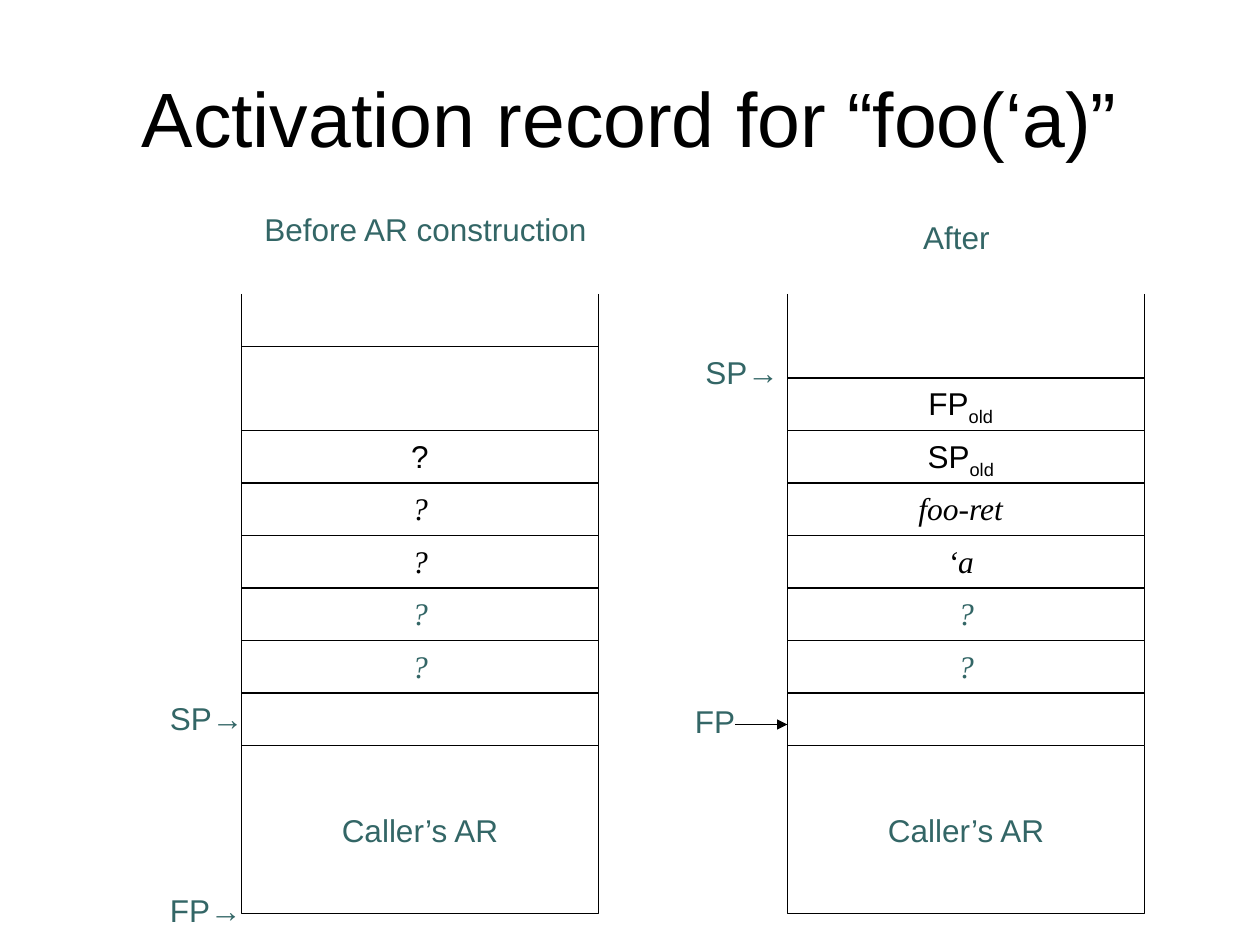
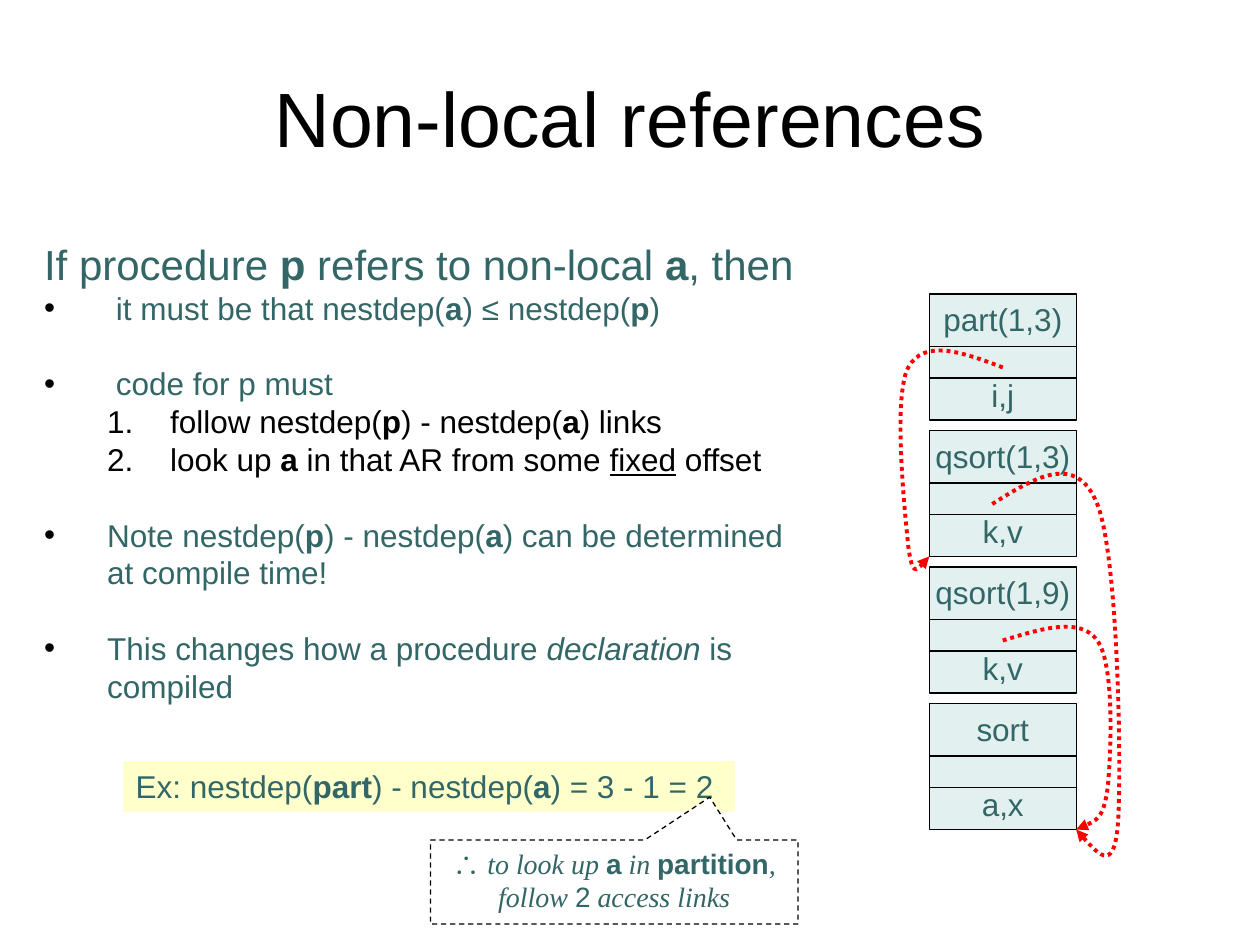
from pptx import Presentation
from pptx.dml.color import RGBColor
from pptx.enum.dml import MSO_LINE as Dash
from pptx.enum.shapes import MSO_CONNECTOR as Link, MSO_SHAPE as Geom
from pptx.enum.text import MSO_ANCHOR as Anchor, MSO_AUTO_SIZE as Fit, PP_ALIGN as Align
from pptx.oxml import parse_xml
from pptx.oxml.ns import nsdecls, qn
from pptx.util import Inches, Pt

# Shared look: every length is counted in grid units of 1/12 inch
U = Inches(1) // 12
hue = RGBColor.from_string
INK, TEAL, MINT, CREAM, WHITE, RED = "000000", "336666", "E2F0F0", "FFFFCC", "FFFFFF", "FF0000"
SANS = {"name": "Arial", "size": Pt(18)}
SERIF = {"name": "Times New Roman", "size": Pt(18), "italic": True}
HEAD = {"name": "Arial", "size": Pt(44)}
LEAD = {"name": "Arial", "size": Pt(24)}
NOTE = {"name": "Times New Roman", "size": Pt(16), "italic": True}
MARKS = {
    "b": {"name": "Arial", "bold": True, "italic": False},
    "i": {"italic": True},
    "u": {"underline": True},
    "r": {"name": "Arial", "italic": False},
    "sub": {},
}


def write(para, text, base, color):
    """Add runs; pieces such as |b:word| take the format named by their mark."""
    for n, piece in enumerate(text.split("|")):
        if not piece:
            continue
        mark, word = piece.split(":", 1) if n % 2 else ("", piece)
        for k, line in enumerate(word.split("\v")):
            if k:
                para.add_line_break()
            run = para.add_run()
            run.text = line
            for key, val in {**base, **MARKS.get(mark, {})}.items():
                setattr(run.font, key, val)
            run.font.color.rgb = hue(color)
            if mark == "sub":
                run.font._element.set("baseline", "-25000")


def tip(shape):
    """End an outline with an arrowhead."""
    shape.line._get_or_add_ln().append(
        parse_xml(f'<a:tailEnd {nsdecls("a")} type="triangle"/>'))


# Slides and titles
deck = Presentation()
deck.slide_width, deck.slide_height = 120 * U, 90 * U
one = deck.slides.add_slide(deck.slide_layouts[5])
two = deck.slides.add_slide(deck.slide_layouts[1])
for page, text in ((one, "Activation record for “foo(‘a)”"), (two, "Non-local references")):
    title = page.shapes.title
    title.left, title.top, title.width, title.height = (int(v * U) for v in (6, 3.6, 108, 15))
    title.text_frame.vertical_anchor = Anchor.MIDDLE
    para = title.text_frame.paragraphs[0]
    para.alignment = Align.CENTER
    write(para, text, HEAD, INK)

# Stacks of slide 1: sides, rows and one extra rule each
WIDE, TOP, BASE, ROW = 34, 28, 71, 5
boxes, rules, labels = [], [], []
for x, extra in ((23, 33), (75, 36)):
    rules += [(one, side, TOP, side, BASE, False) for side in (x, x + WIDE)]
    rules += [(one, x, y, x + WIDE, y, False) for y in (extra, *range(41, BASE + 1, ROW))]
    boxes.append((one, x, BASE, WIDE, 16, WHITE, ["Caller’s AR"]))
rules.append((one, 70, 69, 75, 69, True))

# Cell contents, from the top row down
cells = (
    (23, 41, [("?", SANS, INK)] + [("?", SERIF, INK)] * 2 + [("?", SERIF, TEAL)] * 2),
    (74.5, 36, [("FP|sub:old|", SANS, INK), ("SP|sub:old|", SANS, INK),
                ("foo-ret", SERIF, INK), ("‘a", SERIF, INK)]),
    (75, 56, [("?", SERIF, TEAL)] * 2),
)
for x, top, rows in cells:
    labels += [(x, top + n * ROW, WIDE, Align.CENTER, *row) for n, row in enumerate(rows)]

# Headings and pointers
labels += [(x, y, w, Align.LEFT, text, SANS, TEAL) for x, y, w, text in (
    (24, 19.4, 36, "Before AR construction"), (86.75, 20.2, 12, "After"),
    (15, 66, 12, "SP→"), (15, 84.25, 12, "FP→"),
    (66, 33, 12, "SP→"), (65, 66.25, 8, "FP"))]

# Records of slide 2
for n, (call, names) in enumerate((
        ("part(1,3)", "i,j"), ("qsort(1,3)", "k,v"), ("qsort(1,9)", "k,v"), ("sort", "a,x"))):
    y = TOP + 13 * n
    boxes.append((two, 88.5, y, 14, 12, MINT, [call, names]))
    rules += [(two, 88.5, y + d, 102.5, y + d, False) for d in (5, 8)]

# Draw boxes, rules and labels
for page, x, y, w, h, fill, lines in boxes:
    box = page.shapes.add_shape(Geom.RECTANGLE, *(int(v * U) for v in (x, y, w, h)))
    box.shadow.inherit = False
    box.fill.solid()
    box.fill.fore_color.rgb = hue(fill)
    box.line.color.rgb = hue(INK)
    box.line.width = Pt(0.75)
    frame = box.text_frame
    frame.word_wrap = False
    frame.vertical_anchor = Anchor.MIDDLE
    for n, text in enumerate(lines):
        para = frame.add_paragraph() if n else frame.paragraphs[0]
        para.alignment = Align.CENTER
        if n:
            para.space_before = Inches(0.3)
        write(para, text, SANS, TEAL)

for page, x1, y1, x2, y2, arrow in rules:
    rule = page.shapes.add_connector(Link.STRAIGHT, *(int(v * U) for v in (x1, y1, x2, y2)))
    rule.line.color.rgb = hue(INK)
    rule.line.width = Pt(0.75)
    if arrow:
        tip(rule)
    rule.element.spPr.append(parse_xml(f'<a:effectLst {nsdecls("a")}/>'))

for x, y, w, align, text, base, color in labels:
    label = one.shapes.add_textbox(*(int(v * U) for v in (x, y, w, 4.8)))
    label.text_frame.word_wrap = True
    para = label.text_frame.paragraphs[0]
    para.alignment = align
    write(para, text, base, color)

# Access links: a start, then three Bezier points for each bend
links = (
    [(95.5, 61), (99.1, 59.9), (102.9, 58.7), (104.5, 61), (106.2, 63.3), (105.8, 72),
     (105.5, 75), (105.1, 78), (103.8, 78.5), (102.5, 79)],
    [(94.5, 48), (98.5, 45.5), (102.5, 43), (104.5, 48), (106.5, 53), (106.8, 72.8),
     (106.5, 78), (106.2, 83.2), (104.3, 81.1), (102.5, 79)],
    [(95.5, 35), (91.8, 33.6), (88, 32.2), (86.5, 35), (85, 37.8), (86.2, 49),
     (86.5, 52), (86.9, 55), (87.7, 54), (88.5, 53)],
)
for link in links:
    dots = [(int(x * U), int(y * U)) for x, y in link]
    pen = two.shapes.build_freeform(*dots[0])
    pen.add_line_segments(dots[1:], close=False)
    curve = pen.convert_to_shape()
    steps = list(curve.element.iter(qn("a:lnTo")))
    for n in range(0, len(steps), 3):
        bend = parse_xml(f'<a:cubicBezTo {nsdecls("a")}/>')
        steps[n].addprevious(bend)
        for step in steps[n:n + 3]:
            bend.append(step[0])
            step.getparent().remove(step)
    curve.shadow.inherit = False
    curve.fill.background()
    curve.line.color.rgb = hue(RED)
    curve.line.width = Pt(2.25)
    curve.line.dash_style = Dash.ROUND_DOT
    tip(curve)

# List: text, bullet kind, left margin, hanging indent, space before, format, colour
DOT, NUM = '<a:buChar {} char="•"/>', '<a:buAutoNum {} type="arabicPeriod"/>'
items = (
    ("If procedure |b:p| refers to non-local |b:a|, then", "<a:buNone {}/>", 0.5, 0.5, 0, LEAD, TEAL),
    ("it must be that nestdep(|b:a|) ≤ nestdep(|b:p|)", DOT, 0.57, 0.57, 0, SANS, TEAL),
    ("code for p must", DOT, 0.57, 0.57, 0.3, SANS, TEAL),
    ("follow nestdep(|b:p|) - nestdep(|b:a|) links", NUM, 1, 0.5, 0, SANS, INK),
    ("look up |b:a| in that AR from some |u:fixed| offset", NUM, 1, 0.5, 0, SANS, INK),
    ("Note nestdep(|b:p|) - nestdep(|b:a|) can be determined\vat compile time!",
     DOT, 0.5, 0.5, 0.3, SANS, TEAL),
    ("This changes how a procedure |i:declaration| is\vcompiled", DOT, 0.5, 0.5, 0.3, SANS, TEAL),
)
body = two.placeholders[1]
body.left, body.top, body.width, body.height = (int(v * U) for v in (3, 22.1, 85, 45.6))
frame = body.text_frame
frame.auto_size = Fit.NONE
frame.word_wrap = True
for n, (text, kind, left, hang, gap, base, color) in enumerate(items):
    para = frame.add_paragraph() if n else frame.paragraphs[0]
    para.level = int(kind == NUM)
    para.space_before = Inches(gap)
    props = para._p.get_or_add_pPr()
    props.set("marL", str(Inches(left)))
    props.set("indent", str(-Inches(hang)))
    props.append(parse_xml(f'<a:buClr {nsdecls("a")}><a:srgbClr val="{INK}"/></a:buClr>'))
    props.append(parse_xml(kind.format(nsdecls("a"))))
    write(para, text, base, color)

# Example strip and its callout
notes = (
    (Geom.RECTANGLE, (11.75, 72.5, 58.25, 4.8), CREAM, False, Align.LEFT, SANS,
     "Ex: nestdep(|b:part|) - nestdep(|b:a|) = 3 - 1 = 2"),
    (Geom.RECTANGULAR_CALLOUT, (41, 80, 35, 8), WHITE, True, Align.CENTER, NOTE,
     "|b:∴| to look up |b:a| in |b:partition|, follow |r:2| access links"),
)
for geom, at, fill, wrap, align, base, text in notes:
    note = two.shapes.add_shape(geom, *(int(v * U) for v in at))
    note.shadow.inherit = False
    note.fill.solid()
    note.fill.fore_color.rgb = hue(fill)
    if geom == Geom.RECTANGLE:
        note.line.fill.background()
    else:
        note.adjustments[0], note.adjustments[1] = 0.26, -1.01
        note.line.color.rgb = hue(INK)
        note.line.width = Pt(0.75)
        note.line.dash_style = Dash.DASH
    note.text_frame.word_wrap = wrap
    note.text_frame.vertical_anchor = Anchor.TOP
    para = note.text_frame.paragraphs[0]
    para.alignment = align
    write(para, text, base, TEAL)

deck.save("out.pptx")
